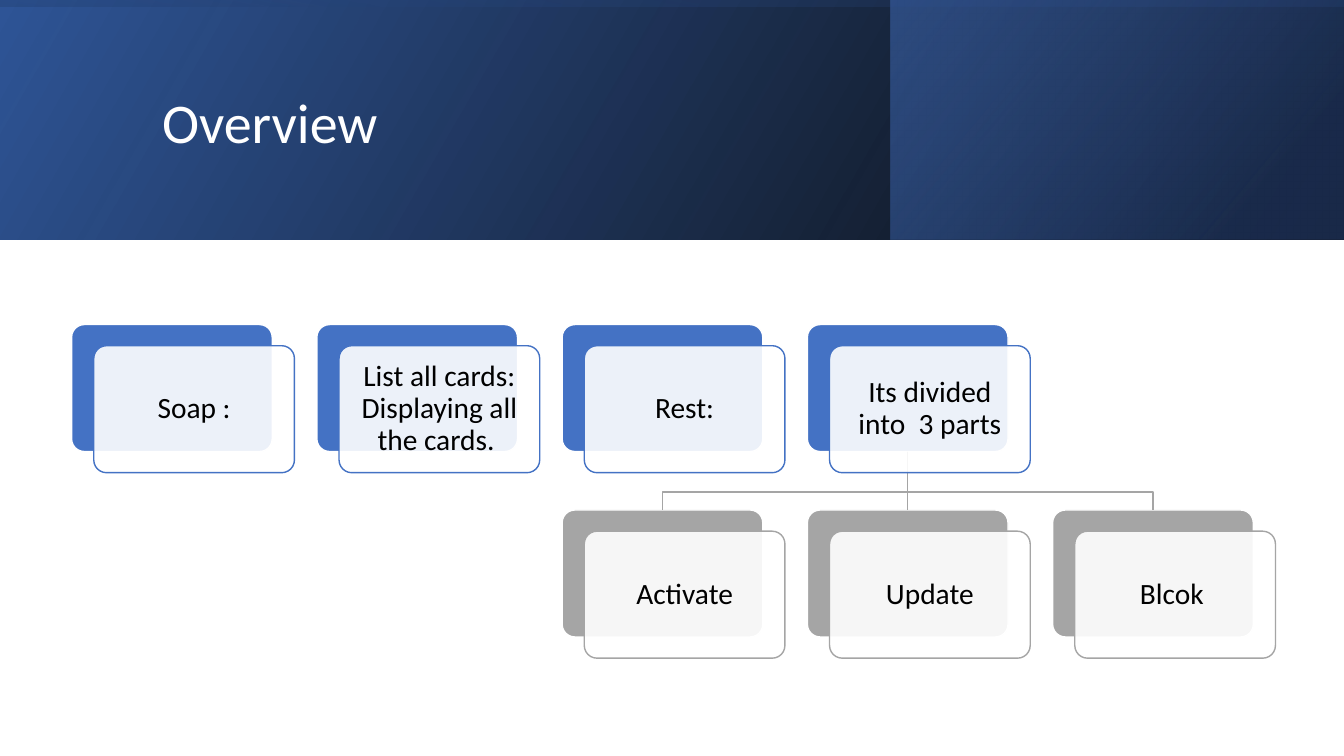
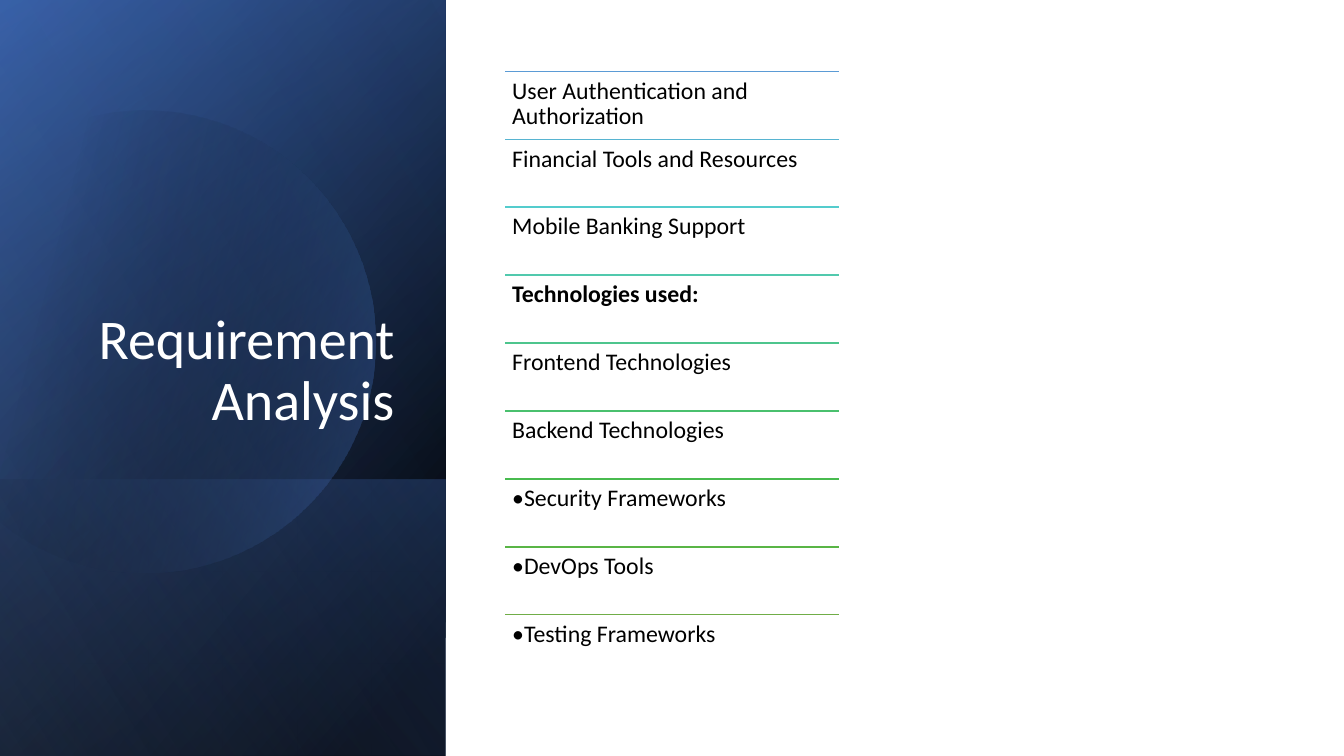
from dataclasses import dataclass
from math import acos, cos, sin
from typing import Any, NamedTuple

from lxml.etree import SubElement
from pptx import Presentation
from pptx.dml.color import RGBColor
from pptx.enum.shapes import MSO_CONNECTOR as Connector, MSO_SHAPE as Preset
from pptx.enum.text import MSO_ANCHOR as Anchor, PP_ALIGN as Align
from pptx.oxml import parse_xml
from pptx.oxml.ns import nsdecls, qn
from pptx.util import Emu, Inches, Pt

SLIDE_W, SLIDE_H = 13.33, 7.5
BAND_H = 2.38
SIDE_W = 4.42


@dataclass(frozen=True)
class Theme:
    font: str = "Calibri"
    white: str = "FFFFFF"
    black: str = "000000"
    blue: str = "4472C4"
    deep_blue: str = "2F5597"
    navy: str = "203864"
    pale_blue: str = "8FAADC"
    grey: str = "A5A5A5"
    title_size: int = 40
    card_size: int = 21
    list_size: int = 17
    line_width: float = 1
    rule_width: float = 1.25
    line_spacing: float = 0.9


THEME = Theme()


class Box(NamedTuple):
    left: float
    top: float
    width: float
    height: float


class Stop(NamedTuple):
    position: int
    color: str
    opacity: int = 100


@dataclass(frozen=True)
class Panel:
    """A mirrored gradient rectangle; area is where it shows after turning."""
    area: Box
    turn: int
    angle: int
    stops: tuple[Stop, Stop]


@dataclass(frozen=True)
class Card:
    column: int
    row: int
    text: str
    color: str


@dataclass(frozen=True)
class Entry:
    text: str
    line_color: str
    bold: bool = False


# Overview slide: header band and card grid
BAND = Box(0, 0, SLIDE_W, BAND_H)
BAND_PANELS = (
    Panel(BAND, 0, 330, (Stop(0, THEME.black, 96), Stop(100, THEME.deep_blue))),
    Panel(Box(8.83, 0, 4.49, BAND_H), 0, 320,
          (Stop(19, THEME.navy, 68), Stop(100, THEME.blue, 48))),
    Panel(BAND, 270, 350, (Stop(23, THEME.deep_blue, 16), Stop(99, THEME.black, 45))),
)
GRID_LEFT, GRID_TOP = 0.71, 3.22
COLUMN_PITCH, ROW_PITCH = 9.73 / 4, 1.84
CARD_W, CARD_H = 1.99, 1.26
CARD_SHIFT_X, CARD_SHIFT_Y = 0.22, 0.21
ELBOW_SHARE = 0.69
PARENT = Card(3, 0, "Its divided into  3 parts", THEME.blue)
CHILDREN = (
    Card(2, 1, "Activate", THEME.grey),
    Card(3, 1, "Update", THEME.grey),
    Card(4, 1, "Blcok ", THEME.grey),
)
CARDS = (
    Card(0, 0, "Soap :", THEME.blue),
    Card(1, 0, "List all cards: Displaying all the cards. ", THEME.blue),
    Card(2, 0, "Rest:", THEME.blue),
    PARENT,
    *CHILDREN,
)

# Requirement slide: side panel and ruled list
SIDE = Box(0, 0, SIDE_W, SLIDE_H)
SIDE_PANELS = (
    Panel(SIDE, 90, 50, (Stop(8, THEME.black), Stop(100, THEME.deep_blue))),
    Panel(SIDE, 90, 30, (Stop(0, THEME.black, 0), Stop(99, THEME.blue, 46))),
    Panel(Box(0, 4.76, SIDE_W, 2.74), 90, 130,
          (Stop(2, THEME.blue, 29), Stop(100, THEME.black, 30))),
)
SIDE_GLOW = Panel(SIDE, 90, 120, (Stop(0, THEME.black, 0), Stop(99, THEME.pale_blue, 11)))
DISC_X, DISC_Y, DISC_RADIUS = 1.43, 3.39, 2.29
DISC_STEPS = 90
DISC_ANGLE = 14
DISC_STOPS = (Stop(18, THEME.black, 0), Stop(100, THEME.blue, 43))
LIST_AREA = Box(5.01, 0.71, 3.31, 6.06)
ENTRIES = (
    Entry("User Authentication and Authorization", "5B9BD5"),
    Entry("Financial Tools and Resources", "57B4D1"),
    Entry("Mobile Banking Support", "54CCCD"),
    Entry("Technologies used:", "51C9AD", bold=True),
    Entry("Frontend Technologies", "4DC58D"),
    Entry("Backend Technologies", "4AC06E"),
    Entry("•Security Frameworks", "48BB4F"),
    Entry("•DevOps Tools", "59B546"),
    Entry("•Testing Frameworks", "70AD47"),
)


def inches(box: Box) -> list[Emu]:
    return [Inches(value) for value in box]


def set_all(target: Any, values: dict[str, Any]) -> None:
    for name, value in values.items():
        setattr(target, name, value)


def set_line(item: Any, color: str, width: float = THEME.line_width) -> None:
    item.line.color.rgb = RGBColor.from_string(color)
    item.line.width = Pt(width)


def fill_gradient(shape: Any, stops: tuple[Stop, ...], angle: int) -> None:
    marks = "".join(
        f'<a:gs pos="{stop.position * 1000}"><a:srgbClr val="{stop.color}">'
        f'<a:alpha val="{stop.opacity * 1000}"/></a:srgbClr></a:gs>'
        for stop in stops)
    gradient = parse_xml(
        f'<a:gradFill {nsdecls("a")} rotWithShape="1"><a:gsLst>{marks}</a:gsLst>'
        f'<a:lin ang="{angle * 60000}" scaled="0"/></a:gradFill>')
    shape.fill.background()
    properties = shape.element.spPr
    properties.replace(properties.find(qn("a:noFill")), gradient)
    shape.line.fill.background()
    shape.shadow.inherit = False


def write(shape: Any, text: str, size: int, color: str, align: Align, anchor: Anchor,
          inset: tuple[float, float], bold: bool = False) -> None:
    side, end = (Inches(value) for value in inset)
    frame = shape.text_frame
    set_all(frame, {"word_wrap": True, "vertical_anchor": anchor,
                    "margin_left": side, "margin_right": side,
                    "margin_top": end, "margin_bottom": end})
    para = frame.paragraphs[0]
    set_all(para, {"alignment": align, "line_spacing": THEME.line_spacing})
    span = para.add_run()
    span.text = text
    set_all(span.font, {"name": THEME.font, "size": Pt(size), "bold": bold})
    span.font.color.rgb = RGBColor.from_string(color)


def add_title(page: Any, text: str, area: Box, align: Align, anchor: Anchor) -> None:
    box = page.shapes.add_textbox(*inches(area))
    write(box, text, THEME.title_size, THEME.white, align, anchor, (0.1, 0.05))


def add_panel(page: Any, panel: Panel) -> None:
    left, top, width, height = panel.area
    if panel.turn % 180:  # a quarter turn swaps the sides around the centre
        left, top = left + (width - height) / 2, top + (height - width) / 2
        width, height = height, width
    shape = page.shapes.add_shape(Preset.RECTANGLE, *inches(Box(left, top, width, height)))
    shape.rotation = panel.turn
    shape.element.spPr.xfrm.set("flipH", "1")
    fill_gradient(shape, panel.stops, panel.angle)


def add_outline(page: Any, points: list[tuple[float, float]], close: bool) -> Any:
    corners = [(Inches(x), Inches(y)) for x, y in points]
    builder = page.shapes.build_freeform(*corners[0])
    builder.add_line_segments(corners[1:], close=close)
    shape = builder.convert_to_shape()
    shape.shadow.inherit = False
    return shape


def add_straight(page: Any, start: tuple[float, float], end: tuple[float, float],
                 color: str, width: float = THEME.line_width) -> Any:
    points = [Inches(value) for value in (*start, *end)]
    line = page.shapes.add_connector(Connector.STRAIGHT, *points)
    set_line(line, color, width)
    SubElement(line.element.spPr, qn("a:effectLst"))
    return line


def card_box(card: Card) -> Box:
    return Box(GRID_LEFT + card.column * COLUMN_PITCH,
               GRID_TOP + card.row * ROW_PITCH, CARD_W, CARD_H)


def add_plate(page: Any, area: Box, fill: str, line: str) -> Any:
    plate = page.shapes.add_shape(Preset.ROUNDED_RECTANGLE, *inches(area))
    plate.adjustments[0] = 0.1
    plate.fill.solid()
    plate.fill.fore_color.rgb = RGBColor.from_string(fill)
    set_line(plate, line)
    plate.shadow.inherit = False
    return plate


def add_front(page: Any, card: Card) -> None:
    back = card_box(card)
    area = back._replace(left=back.left + CARD_SHIFT_X, top=back.top + CARD_SHIFT_Y)
    front = add_plate(page, area, THEME.white, card.color)
    color = front.element.spPr.find(qn("a:solidFill")).find(qn("a:srgbClr"))
    SubElement(color, qn("a:alpha")).set("val", "90000")
    write(front, card.text, THEME.card_size, THEME.black, Align.CENTER, Anchor.MIDDLE,
          (0.09, 0.09))


def add_link(page: Any, child: Card, plates: dict[Card, Any]) -> None:
    above, below = card_box(PARENT), card_box(child)
    start = (above.left + CARD_W / 2, above.top + CARD_H)
    end = (below.left + CARD_W / 2, below.top)
    if child.column == PARENT.column:
        line = add_straight(page, start, end, THEME.grey)
        line.begin_connect(plates[PARENT], 2)
        line.end_connect(plates[child], 0)
        return
    bend = start[1] + ELBOW_SHARE * (end[1] - start[1])
    elbow = add_outline(page, [start, (start[0], bend), (end[0], bend), end], close=False)
    elbow.fill.background()
    set_line(elbow, THEME.grey)


def add_disc(page: Any) -> None:
    reach = acos(-DISC_X / DISC_RADIUS)  # the arc stops at the slide's left edge
    angles = [reach * (2 * step / DISC_STEPS - 1) for step in range(DISC_STEPS + 1)]
    points = [(DISC_X + DISC_RADIUS * cos(angle), DISC_Y + DISC_RADIUS * sin(angle))
              for angle in angles]
    fill_gradient(add_outline(page, points, close=True), DISC_STOPS, DISC_ANGLE)


def add_entry(page: Any, entry: Entry, area: Box) -> None:
    add_straight(page, (area.left, area.top), (area.left + area.width, area.top),
                 entry.line_color, THEME.rule_width)
    box = page.shapes.add_textbox(*inches(area))
    write(box, entry.text, THEME.list_size, THEME.black, Align.LEFT, Anchor.TOP,
          (0.07, 0.07), entry.bold)


def build_overview(page: Any) -> None:
    for panel in BAND_PANELS:
        add_panel(page, panel)
    add_title(page, "Overview", Box(1.51, 0.38, 10.63, 1.72), Align.LEFT, Anchor.MIDDLE)
    # Back plates, then links, then the translucent fronts
    plates = {card: add_plate(page, card_box(card), card.color, THEME.white)
              for card in CARDS}
    for child in CHILDREN:
        add_link(page, child, plates)
    for card in CARDS:
        add_front(page, card)


def build_requirements(page: Any) -> None:
    for panel in SIDE_PANELS:
        add_panel(page, panel)
    add_disc(page)
    add_panel(page, SIDE_GLOW)
    add_title(page, "Requirement Analysis", Box(0.51, 0.64, 3.5, 3.7), Align.RIGHT,
              Anchor.BOTTOM)
    pitch = LIST_AREA.height / len(ENTRIES)
    for row, entry in enumerate(ENTRIES):
        add_entry(page, entry,
                  LIST_AREA._replace(top=LIST_AREA.top + row * pitch, height=pitch))


def main() -> None:
    deck = Presentation()
    set_all(deck, {"slide_width": Inches(SLIDE_W), "slide_height": Inches(SLIDE_H)})
    for build in (build_overview, build_requirements):
        build(deck.slides.add_slide(deck.slide_layouts[6]))
    deck.save("out.pptx")


if __name__ == "__main__":
    main()
